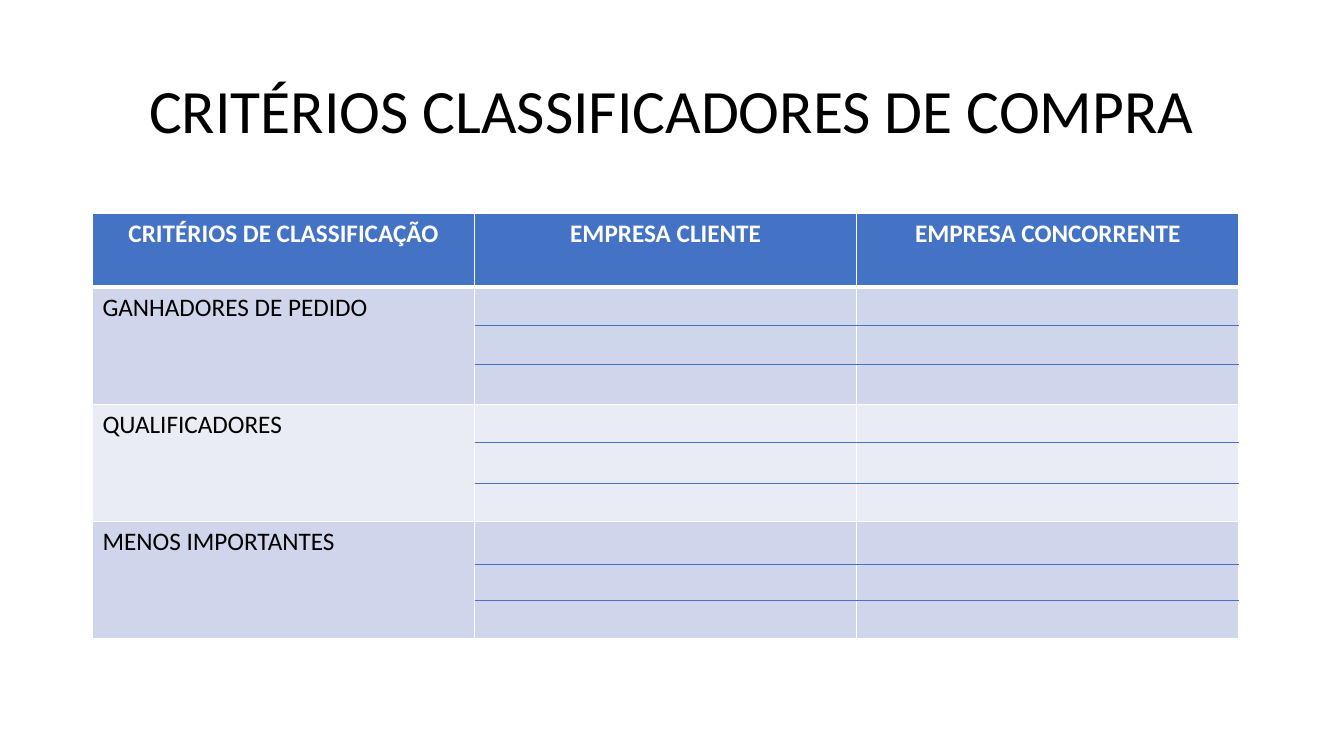
import pptx
import pptx.util
import pptx.dml.color
import pptx.enum.shapes
import pptx.enum.text
import pptx.oxml
import pptx.oxml.ns

Cm = pptx.util.Cm
Pt = pptx.util.Pt
ALIGN = pptx.enum.text.PP_ALIGN
MIDDLE = pptx.enum.text.MSO_ANCHOR.MIDDLE
HUES = {"blue": "4472C4", "dark": "CFD5EA", "pale": "E9EBF5",
        "white": "FFFFFF", "black": "000000"}


def tint(name):
    return pptx.dml.color.RGBColor.from_string(HUES[name])


class Deck:
    font = "Calibri"

    def __init__(self):
        self.show = pptx.Presentation()
        self.show.slide_width = Cm(33.87)
        self.show.slide_height = Cm(19.05)
        self.slide = self.show.slides.add_slide(self.show.slide_layouts[5])

    def label(self, frame, text, size, hue, align, bold=False):
        para = frame.paragraphs[0]
        para.alignment = align
        run = para.add_run()
        run.text = text
        run.font.name = self.font
        run.font.size = Pt(size)
        run.font.bold = bold
        run.font.color.rgb = tint(hue)
        return para

    def title(self, text, left, top, width, height):
        box = self.slide.shapes.title
        box.left, box.top = Cm(left), Cm(top)
        box.width, box.height = Cm(width), Cm(height)
        box.text_frame.word_wrap = True
        box.text_frame.vertical_anchor = MIDDLE
        para = self.label(box.text_frame, text, 44, "black", ALIGN.CENTER)
        para.line_spacing = 0.9

    def edge(self, cell, sides):
        props = cell._tc.get_or_add_tcPr()
        for spot, (side, width) in enumerate(sides.items()):
            props.insert(spot, pptx.oxml.parse_xml(
                f'<a:{side} {pptx.oxml.ns.nsdecls("a")} w="{Pt(width)}">'
                f'<a:solidFill><a:srgbClr val="{HUES["white"]}"/></a:solidFill>'
                f'</a:{side}>'))

    def table(self, heads, names, left, top, width, first, height):
        count = len(names) + 1
        grid = self.slide.shapes.add_table(
            count, len(heads), Cm(left), Cm(top),
            Cm(width * len(heads)), Cm(first + height * len(names))).table
        for col in grid.columns:
            col.width = Cm(width)
        for i, row in enumerate(grid.rows):
            row.height = Cm(height if i else first)
            hue = ("pale", "dark")[i % 2] if i else "blue"
            for cell in row.cells:
                cell.fill.solid()
                cell.fill.fore_color.rgb = tint(hue)
                self.edge(cell, {"lnL": 1, "lnR": 1,
                                 "lnT": 3 if i == 1 else 1,
                                 "lnB": 1 if i else 3})
        for j, text in enumerate(heads):
            self.label(grid.cell(0, j).text_frame, text, 18, "white",
                       ALIGN.CENTER, True)
        for i, text in enumerate(names, 1):
            self.label(grid.cell(i, 0).text_frame, text, 18, "black",
                       ALIGN.LEFT)

    def rule(self, left, right, top):
        line = self.slide.shapes.add_connector(
            pptx.enum.shapes.MSO_CONNECTOR.STRAIGHT,
            Cm(left), Cm(top), Cm(right), Cm(top))
        line.line.color.rgb = tint("blue")
        line.line.width = Pt(0.5)
        line._element.spPr.append(pptx.oxml.parse_xml(
            f'<a:effectLst {pptx.oxml.ns.nsdecls("a")}/>'))


def main():
    deck = Deck()
    left, width = 2.33, 9.63
    deck.title("CRITÉRIOS CLASSIFICADORES DE COMPRA", left, 1.01, 29.21, 3.68)
    deck.table(
        ["CRITÉRIOS DE CLASSIFICAÇÃO", "EMPRESA CLIENTE", "EMPRESA CONCORRENTE"],
        ["GANHADORES DE PEDIDO", "QUALIFICADORES", "MENOS IMPORTANTES"],
        left, 5.39, width, 1.85, 2.95)
    for top in (8.2, 9.17, 11.15, 12.17, 14.22, 15.14):
        deck.rule(left + width, left + 3 * width, top)
    deck.show.save("out.pptx")


if __name__ == "__main__":
    main()
